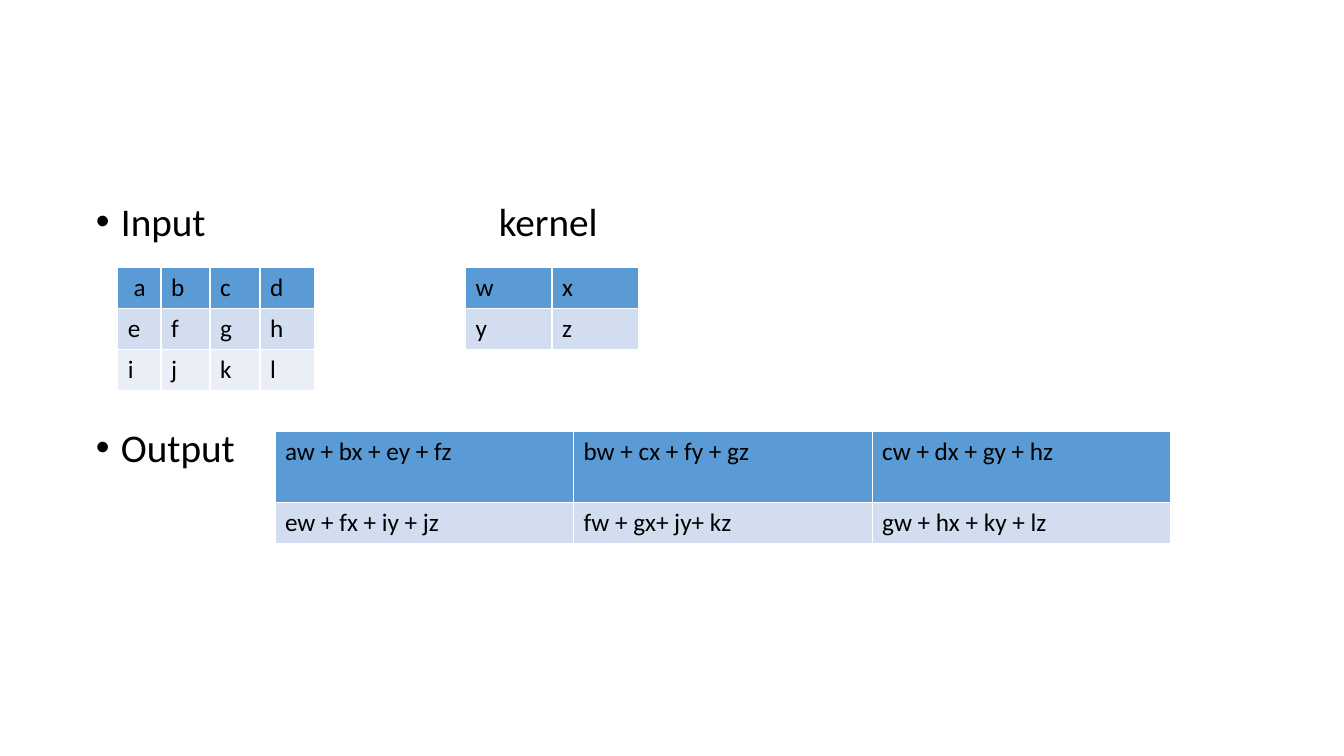
"""Build a slide showing a convolution's input, kernel and output tables."""
from lxml.etree import SubElement
from pptx import Presentation
from pptx.dml.color import RGBColor
from pptx.enum.text import MSO_AUTO_SIZE as AutoSize
from pptx.oxml.ns import qn
from pptx.util import Pt

COLORS = {"text": "000000", "header": "5B9BD5", "odd": "D2DEEF", "even": "EAEFF7"}
FONT = "Calibri"
BODY_BOX = (61.2, 141.1, 828, 342.7)
BULLETS = [("Input\tkernel", 10), ("Output", 131)]
KERNEL_TAB = 288
HANGING_INDENT = 18
ROW_HEIGHT = 29.2

TABLES = [
    {
        "rows": [[" a", "b", "c", "d"], ["e", "f", "g", "h"], ["i", "j", "k", "l"]],
        "position": (84.2, 191.3),
        "widths": [30.8, 35, 35.8, 38.8],
        "header_height": ROW_HEIGHT,
    },
    {
        "rows": [["w", "x"], ["y", "z"]],
        "position": (332.6, 191.3),
        "widths": [61.7] * 2,
        "header_height": ROW_HEIGHT,
    },
    {
        "rows": [
            ["aw + bx + ey + fz", "bw + cx + fy + gz", "cw + dx + gy + hz"],
            ["ew + fx + iy + jz", "fw + gx+ jy+ kz", "gw + hx + ky + lz"],
        ],
        "position": (196.4, 308.4),
        "widths": [213.3] * 3,
        "header_height": 50.4,
    },
]


def write_text(paragraph, text, size, color="text"):
    paragraph.text = text
    font = paragraph.font
    run_fonts = [run.font for run in paragraph.runs]
    for font in run_fonts:
        font.name = FONT
        font.size = Pt(size)
        font.bold = False
        font.color.rgb = RGBColor.from_string(COLORS[color])


def add_bullets(body):
    body.left, body.top, body.width, body.height = map(Pt, BODY_BOX)
    frame = body.text_frame
    frame.auto_size = AutoSize.NONE
    for index, (text, space_before) in enumerate(BULLETS):
        paragraph = frame.add_paragraph() if index else frame.paragraphs[0]
        write_text(paragraph, text, size=28)
        paragraph.line_spacing = 0.9
        paragraph.space_before = Pt(space_before)
        properties = paragraph._p.get_or_add_pPr()
        properties.set("marL", str(Pt(HANGING_INDENT)))
        properties.set("indent", str(-Pt(HANGING_INDENT)))
        if "\t" in text:
            tabs = SubElement(properties, qn("a:tabLst"))
            SubElement(tabs, qn("a:tab"), pos=str(Pt(KERNEL_TAB)), algn="l")


def add_table(slide, rows, position, widths, header_height):
    heights = [header_height] + [ROW_HEIGHT] * (len(rows) - 1)
    left, top = position
    table = slide.shapes.add_table(
        len(rows), len(widths), Pt(left), Pt(top), Pt(sum(widths)), Pt(sum(heights))
    ).table
    for column, width in zip(table.columns, widths):
        column.width = Pt(width)
    for row_index, (row, height) in enumerate(zip(rows, heights)):
        table.rows[row_index].height = Pt(height)
        fill = "header" if row_index == 0 else ("even", "odd")[row_index % 2]
        for column_index, text in enumerate(row):
            cell = table.cell(row_index, column_index)
            cell.fill.solid()
            cell.fill.fore_color.rgb = RGBColor.from_string(COLORS[fill])
            write_text(cell.text_frame.paragraphs[0], text, size=18)


def main():
    presentation = Presentation()
    presentation.slide_width, presentation.slide_height = Pt(960), Pt(540)
    slide = presentation.slides.add_slide(presentation.slide_layouts[1])
    title = slide.shapes.title._element
    title.getparent().remove(title)
    add_bullets(slide.placeholders[1])
    for table in TABLES:
        add_table(slide, **table)
    presentation.save("out.pptx")


if __name__ == "__main__":
    main()
